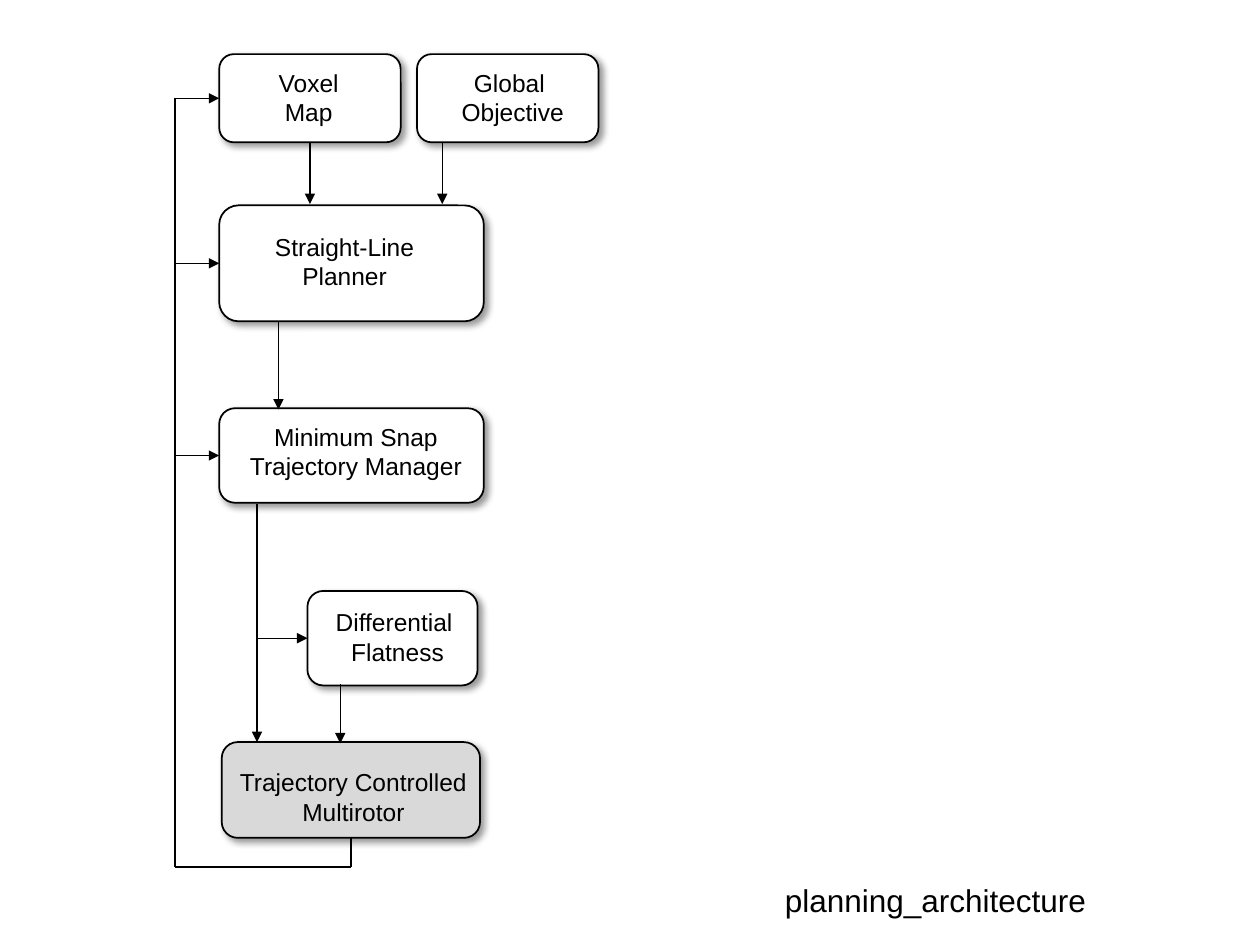
import pptx
import pptx.dml.color
import pptx.enum.shapes
import pptx.enum.text
import pptx.oxml
import pptx.oxml.ns
import pptx.util

PX = 9144  # EMU per px, 100 px to the inch
BLACK, WHITE, GREY = "000000", "FFFFFF", "D9D9D9"
TOP, LEFT, BOTTOM = 0, 1, 2
NS = pptx.oxml.ns.nsdecls("a")


def px(value):
    return pptx.util.Emu(round(value * PX))


def color(hex_string):
    return pptx.dml.color.RGBColor.from_string(hex_string)


def add_label(shapes, box, lines, size, align):
    """One paragraph for each line, in an unwrapped text box."""
    label = shapes.add_textbox(*map(px, box))
    frame = label.text_frame
    frame.word_wrap = False
    frame.auto_size = pptx.enum.text.MSO_AUTO_SIZE.SHAPE_TO_FIT_TEXT
    for i, line in enumerate(lines):
        paragraph = frame.paragraphs[0] if i == 0 else frame.add_paragraph()
        paragraph.alignment = align
        run = paragraph.add_run()
        run.text = line
        run.font.name = "Arial"
        run.font.size = pptx.util.Pt(size)
        run.font.color.rgb = color(BLACK)


def add_block(slide, box, label_box, lines, fill=WHITE):
    """Rounded block with a soft shadow; label_box is relative to the block."""
    shapes = slide.shapes.add_group_shape().shapes
    block = shapes.add_shape(
        pptx.enum.shapes.MSO_SHAPE.ROUNDED_RECTANGLE, *map(px, box))
    block.fill.solid()
    block.fill.fore_color.rgb = color(fill)
    block.line.color.rgb = color(BLACK)
    block.line.width = pptx.util.Pt(1)
    block._element.spPr.append(pptx.oxml.parse_xml(
        f'<a:effectLst {NS}><a:outerShdw blurRad="50800" dist="38100" '
        f'dir="2700000" algn="tl" rotWithShape="0"><a:srgbClr val="{BLACK}">'
        '<a:alpha val="40000"/></a:srgbClr></a:outerShdw></a:effectLst>'))
    left, top, width, height = label_box
    add_label(shapes, (box[0] + left, box[1] + top, width, height),
              lines, 14, pptx.enum.text.PP_ALIGN.CENTER)
    return block


def add_line(slide, start, end, arrow=True, begin=None, finish=None):
    """Straight line; begin and finish are (block, side) joins."""
    line = slide.shapes.add_connector(
        pptx.enum.shapes.MSO_CONNECTOR.STRAIGHT, *map(px, start + end))
    line.line.color.rgb = color(BLACK)
    line.line.width = pptx.util.Pt(0.75)
    if arrow:
        line.line._get_or_add_ln().append(
            pptx.oxml.parse_xml(f'<a:tailEnd {NS} type="triangle"/>'))
    line._element.spPr.append(pptx.oxml.parse_xml(f"<a:effectLst {NS}/>"))
    if begin:
        line.begin_connect(*begin)
    if finish:
        line.end_connect(*finish)


def add_flowchart(slide, box):
    """Planning blocks, the flow down through them and the feedback loop."""
    x0, y0, width, height = box
    bottom = y0 + height
    main = x0 + 35  # left edge of the main column

    # Blocks
    voxel = add_block(slide, (main, y0, 144, 70), (37, 6, 68, 57),
                      ["Voxel", "Map"])
    add_block(slide, (main + 157, y0, 144, 70), (25, 6, 102, 57),
              ["Global ", "Objective"])
    planner = add_block(slide, (main, y0 + 120, 210, 92), (34, 16, 131, 57),
                        ["Straight-Line", "Planner"])
    manager = add_block(slide, (main, y0 + 281, 210, 75), (14, 6, 189, 57),
                        ["Minimum Snap", "Trajectory Manager"])
    flatness = add_block(slide, (main + 70, y0 + 426, 135, 75),
                         (12, 8, 119, 57), ["Differential ", "Flatness"])
    multirotor = add_block(slide, (main + 2, y0 + 546, 205, 76),
                           (4, 15, 201, 57),
                           ["Trajectory Controlled", "Multirotor"], GREY)

    # Flow downwards: x offset in the column, from y, to y, joined block
    for x, start, end, begin in [
        (72, 70, 119, (voxel, BOTTOM)),
        (177, 70, 119, None),
        (47, 212, 282, None),
        (30, 357, 546, None),
        (96, 500, 547, None),
    ]:
        add_line(slide, (main + x, y0 + start), (main + x, y0 + end),
                 begin=begin)

    # Feedback loop and arrows entering blocks from the left
    exit_x = main + 104.5
    add_line(slide, (exit_x, bottom - 23), (exit_x, bottom), arrow=False,
             begin=(multirotor, BOTTOM))
    add_line(slide, (exit_x, bottom), (x0, bottom), arrow=False)
    add_line(slide, (x0, bottom), (x0, y0 + 35), arrow=False)
    for block, start_x in [(voxel, x0), (planner, x0), (manager, x0),
                           (flatness, main + 31)]:
        middle = (block.top + block.height / 2) / PX
        add_line(slide, (start_x, middle), (block.left / PX, middle),
                 finish=(block, LEFT))


def main():
    deck = pptx.Presentation()
    deck.slide_width, deck.slide_height = px(1000), px(750)
    slide = deck.slides.add_slide(deck.slide_layouts[6])
    add_flowchart(slide, (139, 43, 336, 645))
    # Figure name
    add_label(slide.shapes, (613, 694, 261, 40), ["planning_architecture"],
              18, pptx.enum.text.PP_ALIGN.LEFT)
    deck.save("out.pptx")


if __name__ == "__main__":
    main()
